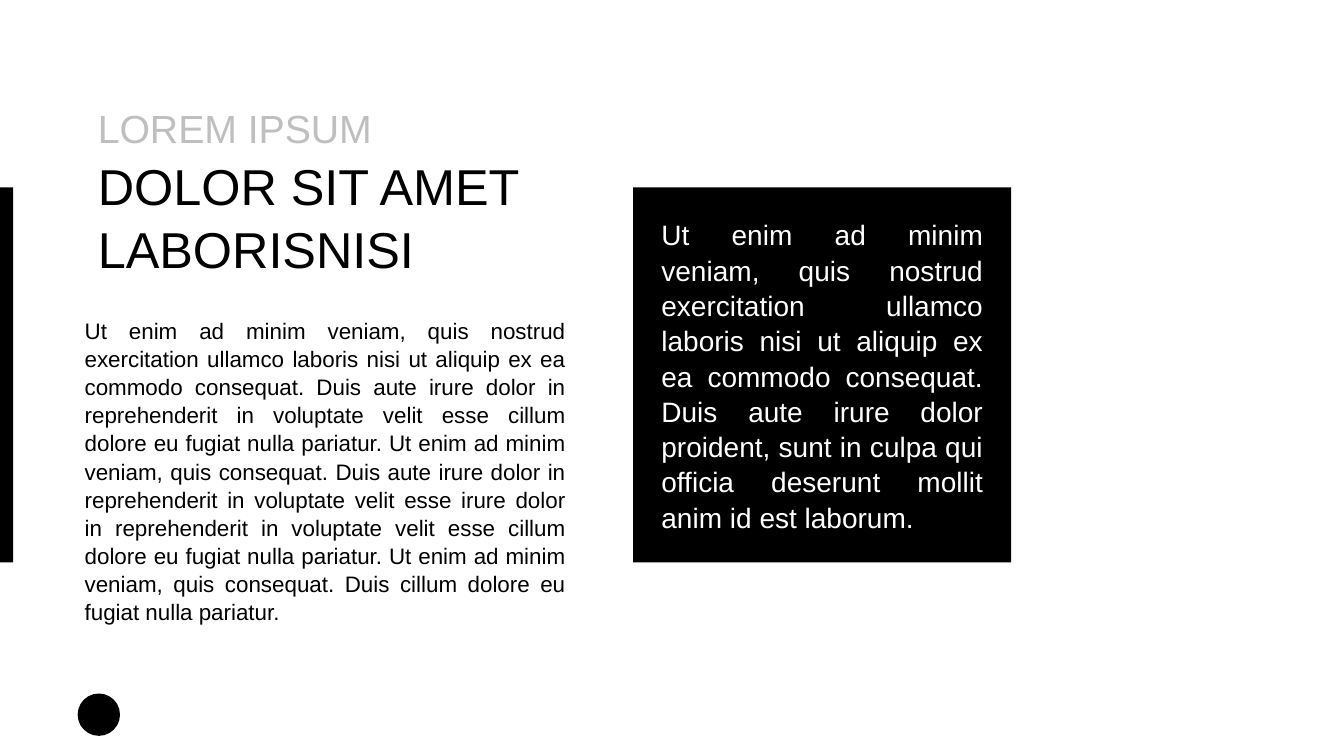
from dataclasses import dataclass

from pptx import Presentation, util as u
from pptx.dml.color import RGBColor
from pptx.enum import shapes, text


@dataclass(frozen=True)
class Theme:
    font: str = "Arial"
    black: str = "000000"
    white: str = "FFFFFF"
    grey: str = "BFBFBF"
    kicker: int = 28
    title: int = 36
    body: int = 16
    quote: int = 20
    leading: float = 1.05


THEME = Theme()
KICKER = "LOREM IPSUM"
TITLE = ("DOLOR SIT AMET", "LABORISNISI")
BODY = (
    "Ut enim ad minim veniam, quis nostrud exercitation ullamco laboris nisi ut "
    "aliquip ex ea commodo consequat. Duis aute irure dolor in reprehenderit in "
    "voluptate velit esse cillum dolore eu fugiat nulla pariatur. Ut enim ad minim "
    "veniam, quis consequat. Duis aute irure dolor in reprehenderit in voluptate "
    "velit esse irure dolor in reprehenderit in voluptate velit esse cillum dolore "
    "eu fugiat nulla pariatur. Ut enim ad minim veniam, quis consequat. Duis cillum "
    "dolore eu fugiat nulla pariatur."
)
QUOTE = (
    "Ut enim ad minim veniam, quis nostrud exercitation ullamco laboris nisi ut "
    "aliquip ex ea commodo consequat. Duis aute irure dolor proident, sunt in culpa "
    "qui officia deserunt mollit anim id est laborum."
)


def add_shape(slide, box, fill, kind=shapes.MSO_SHAPE.RECTANGLE):
    shape = slide.shapes.add_shape(kind, *map(u.Inches, box))
    shape.shadow.inherit = False
    shape.fill.solid()
    shape.fill.fore_color.rgb = RGBColor.from_string(fill)
    shape.line.fill.background()
    return shape


def set_frame(shape, inset, anchor=text.MSO_ANCHOR.MIDDLE):
    frame = shape.text_frame
    frame.word_wrap = True
    frame.auto_size = text.MSO_AUTO_SIZE.NONE
    frame.vertical_anchor = anchor
    frame.margin_left = frame.margin_right = u.Inches(inset)
    frame.margin_top = frame.margin_bottom = u.Inches(inset)
    return frame


def write(frame, words, size, color=THEME.black, align=text.PP_ALIGN.LEFT):
    """Fill the first paragraph if it is empty, else add one."""
    para = frame.paragraphs[-1]
    if para.runs:
        para = frame.add_paragraph()
    para.alignment = align
    para.line_spacing = THEME.leading
    run = para.add_run()
    run.text = words
    run.font.name = THEME.font
    run.font.size = u.Pt(size)
    run.font.color.rgb = RGBColor.from_string(color)


def add_title(slide, box):
    frame = set_frame(add_shape(slide, box, THEME.white), 0.2)
    write(frame, KICKER, THEME.kicker, color=THEME.grey)
    for line in TITLE:
        write(frame, line, THEME.title)


def add_body(slide, box):
    shape = slide.shapes.add_textbox(*map(u.Inches, box))
    frame = set_frame(shape, 0.2, anchor=text.MSO_ANCHOR.TOP)
    write(frame, BODY, THEME.body, align=text.PP_ALIGN.JUSTIFY)


def add_quote(slide, box):
    frame = set_frame(add_shape(slide, box, THEME.black), 0.28)
    write(frame, QUOTE, THEME.quote, color=THEME.white,
          align=text.PP_ALIGN.JUSTIFY)


def main():
    deck = Presentation()
    deck.slide_width, deck.slide_height = u.Inches(13.33), u.Inches(7.5)
    slide = deck.slides.add_slide(deck.slide_layouts[6])
    band_top, band_height = 1.86, 3.72
    add_shape(slide, (0, band_top, 0.13, band_height), THEME.black)
    add_title(slide, (0.77, 0.85, 5.04, 2.08))
    add_body(slide, (0.64, 2.93, 5.17, 2.66))
    add_quote(slide, (6.28, band_top, 3.75, band_height))
    add_shape(slide, (0.77, 6.88, 0.42, 0.42), THEME.black,
              kind=shapes.MSO_SHAPE.OVAL)
    deck.save("out.pptx")


if __name__ == "__main__":
    main()
